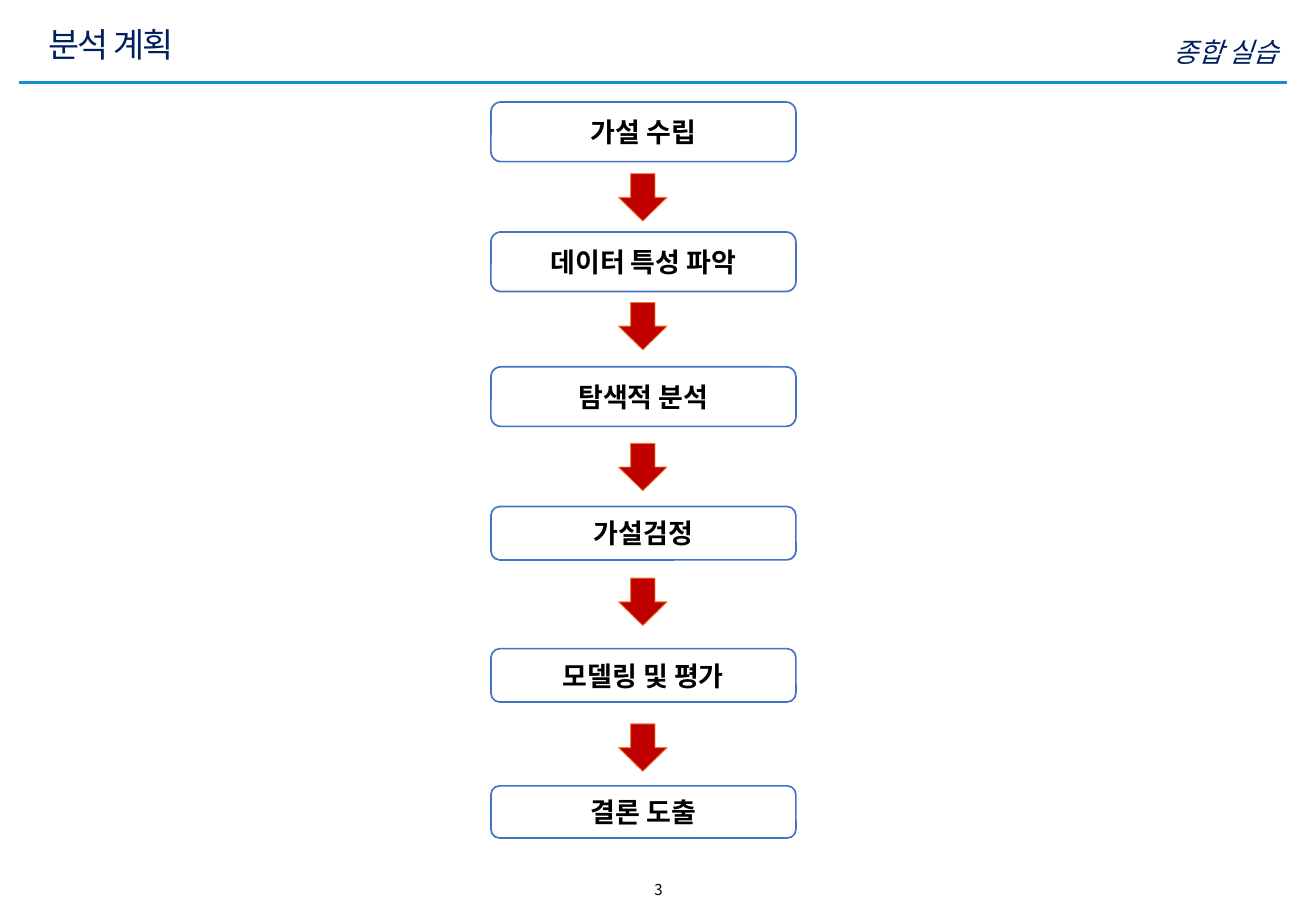
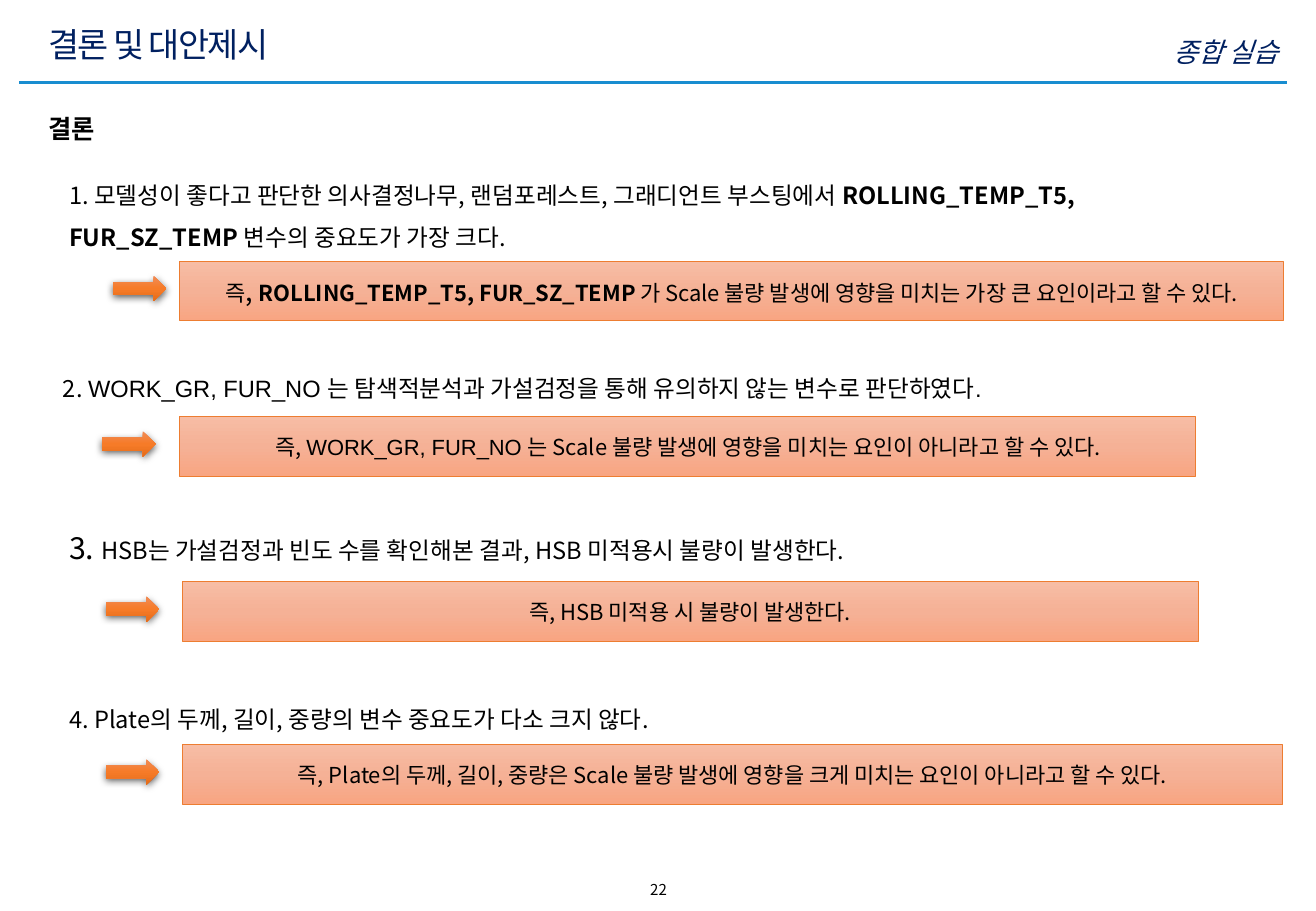
from lxml import etree
from pptx import Presentation
from pptx.dml.color import RGBColor
from pptx.enum.shapes import MSO_CONNECTOR, MSO_SHAPE
from pptx.enum.text import MSO_ANCHOR, PP_ALIGN
from pptx.oxml.ns import qn
from pptx.util import Inches, Pt

NAVY = RGBColor(0x00, 0x20, 0x60)
RULE_BLUE = RGBColor(0x18, 0x8D, 0xD0)
BOX_BLUE = RGBColor(0x44, 0x72, 0xC4)
RED = RGBColor(0xC0, 0x00, 0x00)
ORANGE = RGBColor(0xED, 0x7D, 0x31)
BLACK = RGBColor(0x00, 0x00, 0x00)
WHITE = RGBColor(0xFF, 0xFF, 0xFF)
ARROW_GRADIENT = [
    RGBColor(0xF1, 0x8C, 0x57), RGBColor(0xF6, 0x7B, 0x28), RGBColor(0xE5, 0x6C, 0x19)]
PANEL_GRADIENT = [
    RGBColor(0xF7, 0xBD, 0xA5), RGBColor(0xF5, 0xB1, 0x96), RGBColor(0xF8, 0xA5, 0x82)]

LEFT, CENTER, RIGHT = PP_ALIGN.LEFT, PP_ALIGN.CENTER, PP_ALIGN.RIGHT
TOP, MIDDLE = MSO_ANCHOR.TOP, MSO_ANCHOR.MIDDLE
RECT, ROUNDED = MSO_SHAPE.RECTANGLE, MSO_SHAPE.ROUNDED_RECTANGLE
DOWN_ARROW, RIGHT_ARROW = MSO_SHAPE.DOWN_ARROW, MSO_SHAPE.RIGHT_ARROW
STRAIGHT = MSO_CONNECTOR.STRAIGHT

FONT = "Noto Sans CJK KR"
BOLD = {"bold": True}
ARIAL = {"name": "Arial"}

STEPS = [
    ("가설 수립", 0.84, 0.49),
    ("데이터 특성 파악", 1.91, 0.49),
    ("탐색적 분석", 3.02, 0.49),
    ("가설검정", 4.17, 0.44),
    ("모델링 및 평가", 5.34, 0.44),
    ("결론 도출", 6.47, 0.43),
]
STEP_ARROW_TOPS = [1.43, 2.49, 3.65, 4.76, 5.96]

FINDINGS = [
    {
        "statement": [
            ("1. 모델성이 좋다고 판단한 의사결정나무, 랜덤포레스트, 그래디언트 부스팅에서 ", {}),
            ("ROLLING_TEMP_T5, FUR_SZ_TEMP ", BOLD),
            ("변수의 중요도가 가장 크다.", {}),
        ],
        "place": (0.47, 1.32, 9.77, 0.76),
        "spacing": 1.5,
        "meaning": [
            ("즉", {}),
            (", ", {"size": Pt(16)}),
            ("ROLLING_TEMP_T5, FUR_SZ_TEMP ", BOLD),
            ("가 Scale 불량 발생에 영향을 미치는 가장 큰 요인이라고 할 수 있다.", {}),
        ],
        "panel": (1.48, 2.15, 9.08),
        "arrow_left": 0.93,
    },
    {
        "statement": [
            ("2. ", {}),
            ("WORK_GR, FUR_NO 는 탐색적분석과 가설검정을 통해 유의하지 않는 변수로 판단하였다.", ARIAL),
        ],
        "place": (0.42, 3.03, 9.77, 0.34),
        "spacing": 1,
        "meaning": [
            ("즉, ", {}),
            ("WORK_GR, FUR_NO 는 ", ARIAL),
            ("Scale 불량 발생에 영향을 미치는 요인이 아니라고 할 수 있다.", {}),
        ],
        "panel": (1.48, 3.43, 8.36),
        "arrow_left": 0.84,
    },
    {
        "statement": [
            ("3. ", {"size": Pt(18)}),
            ("HSB는 가설검정과 빈도 수를 확인해본 결과, HSB 미적용시 불량이 발생한다.", {}),
        ],
        "place": (0.47, 4.31, 9.77, 0.4),
        "spacing": 1,
        "meaning": [("즉, HSB 미적용 시 불량이 발생한다.", {})],
        "panel": (1.5, 4.79, 8.36),
        "arrow_left": 0.87,
    },
    {
        "statement": [("4. Plate의 두께, 길이, 중량의 변수 중요도가 다소 크지 않다.", {})],
        "place": (0.47, 5.64, 9.77, 0.43),
        "spacing": 1.5,
        "meaning": [
            ("즉, Plate의 두께, 길이, 중량은 Scale 불량 발생에 영향을 크게 미치는 "
             "요인이 아니라고 할 수 있다.", {}),
        ],
        "panel": (1.5, 6.13, 9.05),
        "arrow_left": 0.87,
    },
]


class Deck:
    """Holds the shared style and the slide being built."""

    def __init__(self):
        self.presentation = Presentation()
        self.presentation.slide_width = Inches(10.83)
        self.presentation.slide_height = Inches(7.5)
        self.slide = None

    def start_slide(self, title, number):
        blank = self.presentation.slide_layouts[6]
        self.slide = self.presentation.slides.add_slide(blank)
        self.rule(0.16, 10.59, 0.68)
        self.text((4.39, 7.2, 2.06, 0.25), [(number, {})], 8.9, align=CENTER)
        self.text((6.55, 0.24, 4.07, 0.3), [("종합 실습", {"italic": True})], 16,
                  color=NAVY, align=RIGHT)
        self.text((0.3, 0.14, 8.51, 0.44), [(title, {})], 20,
                  color=NAVY, anchor=MIDDLE, tracking=-100)

    def rule(self, start, end, top):
        line = self.slide.shapes.add_connector(
            STRAIGHT, Inches(start), Inches(top), Inches(end), Inches(top))
        line.line.color.rgb = RULE_BLUE
        line.line.width = Pt(2)
        etree.SubElement(line._element.spPr, qn("a:effectLst"))

    def set_runs(self, frame, runs, size, color=BLACK, align=LEFT, anchor=TOP,
                 spacing=1, tracking=0):
        frame.vertical_anchor = anchor
        paragraph = frame.paragraphs[0]
        paragraph.alignment = align
        paragraph.line_spacing = spacing
        for content, changes in runs:
            run = paragraph.add_run()
            run.text = content
            style = {"name": FONT, "size": Pt(size), "bold": False, **changes}
            for attribute, value in style.items():
                setattr(run.font, attribute, value)
            run.font.color.rgb = color
            properties = run._r.get_or_add_rPr()
            if tracking:
                properties.set("spc", str(tracking))
            etree.SubElement(properties, qn("a:ea"), typeface=FONT)

    def text(self, place, runs, size, **style):
        frame = self.slide.shapes.add_textbox(*map(Inches, place)).text_frame
        frame.word_wrap = True
        self.set_runs(frame, runs, size, **style)

    def shape(self, kind, place, fill, line=None, width=0.5):
        shape = self.slide.shapes.add_shape(kind, *map(Inches, place))
        shape.shadow.inherit = False
        if isinstance(fill, list):
            self.gradient(shape.fill, fill)
        else:
            shape.fill.solid()
            shape.fill.fore_color.rgb = fill
        if line is None:
            shape.line.fill.background()
        else:
            shape.line.color.rgb = line
            shape.line.width = Pt(width)
        return shape

    def gradient(self, fill, colors):
        fill.gradient()
        fill.gradient_angle = 270
        stops = fill.gradient_stops[0]._gs.getparent()
        for stop in list(stops):
            stops.remove(stop)
        for index, color in enumerate(colors):
            position = 100000 * index // (len(colors) - 1)
            stop = etree.SubElement(stops, qn("a:gs"), pos=str(position))
            etree.SubElement(stop, qn("a:srgbClr"), val=str(color))

    def box(self, kind, place, runs, size, fill, line, width):
        frame = self.shape(kind, place, fill, line, width).text_frame
        frame.word_wrap = False
        self.set_runs(frame, runs, size, align=CENTER, anchor=MIDDLE)

    def step(self, label, top, height):
        self.box(ROUNDED, (4.04, top, 2.51, height), [(label, BOLD)], 16,
                 WHITE, BOX_BLUE, 1)

    def step_arrow(self, top):
        self.shape(DOWN_ARROW, (5.09, top, 0.4, 0.39), RED, ORANGE)

    def shaded_arrow(self, left, top):
        arrow = self.shape(RIGHT_ARROW, (left, top, 0.44, 0.21), ARROW_GRADIENT)
        effects = arrow._element.spPr.find(qn("a:effectLst"))
        shadow = etree.SubElement(
            effects, qn("a:outerShdw"), blurRad=str(Pt(4.5)), dist=str(Pt(1.5)),
            dir="5400000", algn="ctr", rotWithShape="0")
        tint = etree.SubElement(shadow, qn("a:srgbClr"), val=str(BLACK))
        etree.SubElement(tint, qn("a:alpha"), val="63000")

    def finding(self, statement, place, spacing, meaning, panel, arrow_left):
        left, top, width = panel
        self.text(place, statement, 14, spacing=spacing)
        self.shaded_arrow(arrow_left, top + 0.12)
        self.box(RECT, (left, top, width, 0.49), meaning, 13,
                 PANEL_GRADIENT, ORANGE, 0.5)


def main():
    deck = Deck()

    deck.start_slide("분석 계획", "3")
    for step in STEPS:
        deck.step(*step)
    for top in STEP_ARROW_TOPS:
        deck.step_arrow(top)

    deck.start_slide("결론 및 대안제시", "22")
    deck.text((0.3, 0.88, 1.26, 0.35), [("결론", BOLD)], 15)
    for finding in FINDINGS:
        deck.finding(**finding)

    deck.presentation.save("out.pptx")


if __name__ == "__main__":
    main()
